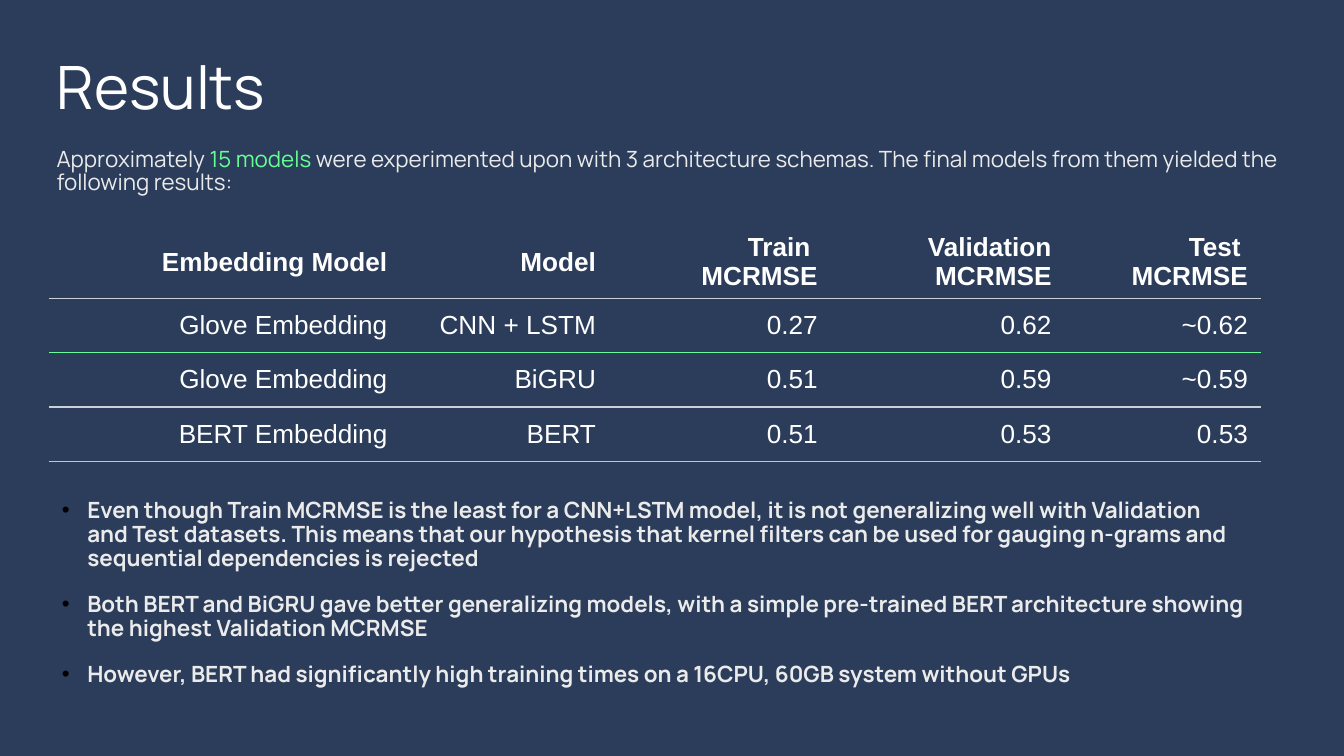
from lxml import etree
from pptx import Presentation
from pptx.dml.color import RGBColor
from pptx.enum.text import MSO_ANCHOR, MSO_AUTO_SIZE, PP_ALIGN
from pptx.oxml import parse_xml
from pptx.oxml.ns import nsdecls, qn
from pptx.util import Cm, Pt

COLORS = {
    "navy": "2B3D5A",
    "white": "FFFFFF",
    "light": "EBEBEB",
    "green": "66FF95",
    "rule": "CBD0D8",
    "bullet": "000000",
}
NO_GRID_STYLE = "{2D5ABB26-0587-4C30-8999-92F81FD0307C}"


def add_text(para, text, size=12, font="Manrope", color="light", bold=False):
    for index, line in enumerate(text.split("\n")):
        if index:
            para.add_line_break()
        span = para.add_run()
        span.text = line
        span.font.size = Pt(size)
        span.font.name = font
        span.font.bold = bold
        span.font.color.rgb = RGBColor.from_string(COLORS[color])


def place(box, left, top, width, height):
    box.left, box.top, box.width, box.height = Cm(left), Cm(top), Cm(width), Cm(height)
    frame = box.text_frame
    frame.word_wrap = True
    frame.auto_size = MSO_AUTO_SIZE.NONE
    frame.vertical_anchor = MSO_ANCHOR.TOP
    frame.margin_left = frame.margin_right = Cm(0.25)
    frame.margin_top = frame.margin_bottom = Cm(0.25)
    return frame


deck = Presentation()
deck.slide_width, deck.slide_height = Cm(25.4), Cm(14.29)
page = deck.slides.add_slide(deck.slide_layouts[1])
page.background.fill.solid()
page.background.fill.fore_color.rgb = RGBColor.from_string(COLORS["navy"])

title = page.shapes.title
para = place(title, 0.82, 0.79, 18.82, 1.6).paragraphs[0]
para.alignment = PP_ALIGN.LEFT
para.line_spacing = 0.95
add_text(para, "Results", size=32, color="white")
title.fill.solid()
title.fill.fore_color.rgb = RGBColor.from_string(COLORS["navy"])

intro = page.shapes.add_textbox(0, 0, 0, 0)
para = place(intro, 0.82, 2.57, 23.62, 1.55).paragraphs[0]
para.line_spacing = 0.86
add_text(para, "Approximately ")
add_text(para, "15 models ", color="green")
add_text(
    para,
    "were experimented upon with 3 architecture schemas. "
    "The final models from them yielded the following results:",
)

results = [
    ["", "Embedding Model", "Model", "Train \nMCRMSE", "Validation MCRMSE", "Test \nMCRMSE"],
    ["", "Glove Embedding", "CNN + LSTM", "0.27", "0.62", "~0.62"],
    ["", "Glove Embedding", "BiGRU", "0.51", "0.59", "~0.59"],
    ["", "BERT Embedding", "BERT", "0.51", "0.53", "0.53"],
]
column_widths = [0.58, 6.05, 3.94, 4.19, 4.42, 3.71]
row_heights = [1.35, 1, 1, 1]
row_rules = [("rule", 0.75), ("green", 0.75), ("rule", 0.75), ("green", 1)]

table = page.shapes.add_table(
    len(results), len(column_widths),
    Cm(0.92), Cm(4.27), Cm(sum(column_widths)), Cm(sum(row_heights)),
).table
table.horz_banding = False
table._tbl.tblPr.find(qn("a:tableStyleId")).text = NO_GRID_STYLE
for column, width in zip(table.columns, column_widths):
    column.width = Cm(width)
for row_index, (row, values) in enumerate(zip(table.rows, results)):
    row.height = Cm(row_heights[row_index])
    rule_color, rule_width = row_rules[row_index]
    for cell, value in zip(row.cells, values):
        cell.fill.background()
        cell.vertical_anchor = MSO_ANCHOR.MIDDLE
        border = parse_xml(
            f'<a:lnB {nsdecls("a")} w="{Pt(rule_width)}"><a:solidFill>'
            f'<a:srgbClr val="{COLORS[rule_color]}"/></a:solidFill></a:lnB>'
        )
        cell._tc.get_or_add_tcPr().insert(0, border)
        if value:
            para = cell.text_frame.paragraphs[0]
            para.alignment = PP_ALIGN.RIGHT
            add_text(para, value, size=14, font="Arial", color="white", bold=row_index == 0)

findings = [
    "Even though Train MCRMSE is the least for a CNN+LSTM model, it is not generalizing well "
    "with Validation and Test datasets. This means that our hypothesis that kernel filters can "
    "be used for gauging n-grams and sequential dependencies is rejected",
    "Both BERT and BiGRU gave better generalizing models, with a simple pre-trained BERT "
    "architecture showing the highest Validation MCRMSE",
    "However, BERT had significantly high training times on a 16CPU, 60GB system without GPUs",
]
body = place(page.placeholders[1], 0.92, 9.19, 22.89, 4.4)
for index, finding in enumerate(findings):
    para = body.add_paragraph() if index else body.paragraphs[0]
    properties = para._p.get_or_add_pPr()
    properties.set("marL", str(Cm(0.48)))
    properties.set("indent", str(-Cm(0.48)))
    bullet_color = etree.SubElement(properties, qn("a:buClr"))
    etree.SubElement(bullet_color, qn("a:srgbClr"), val=COLORS["bullet"])
    etree.SubElement(properties, qn("a:buFont"), typeface="Arial")
    etree.SubElement(properties, qn("a:buChar"), char="•")
    para.line_spacing = 0.89
    para.space_before = Pt(0)
    para.space_after = Pt(12)
    add_text(para, finding, bold=True)

deck.save("out.pptx")
